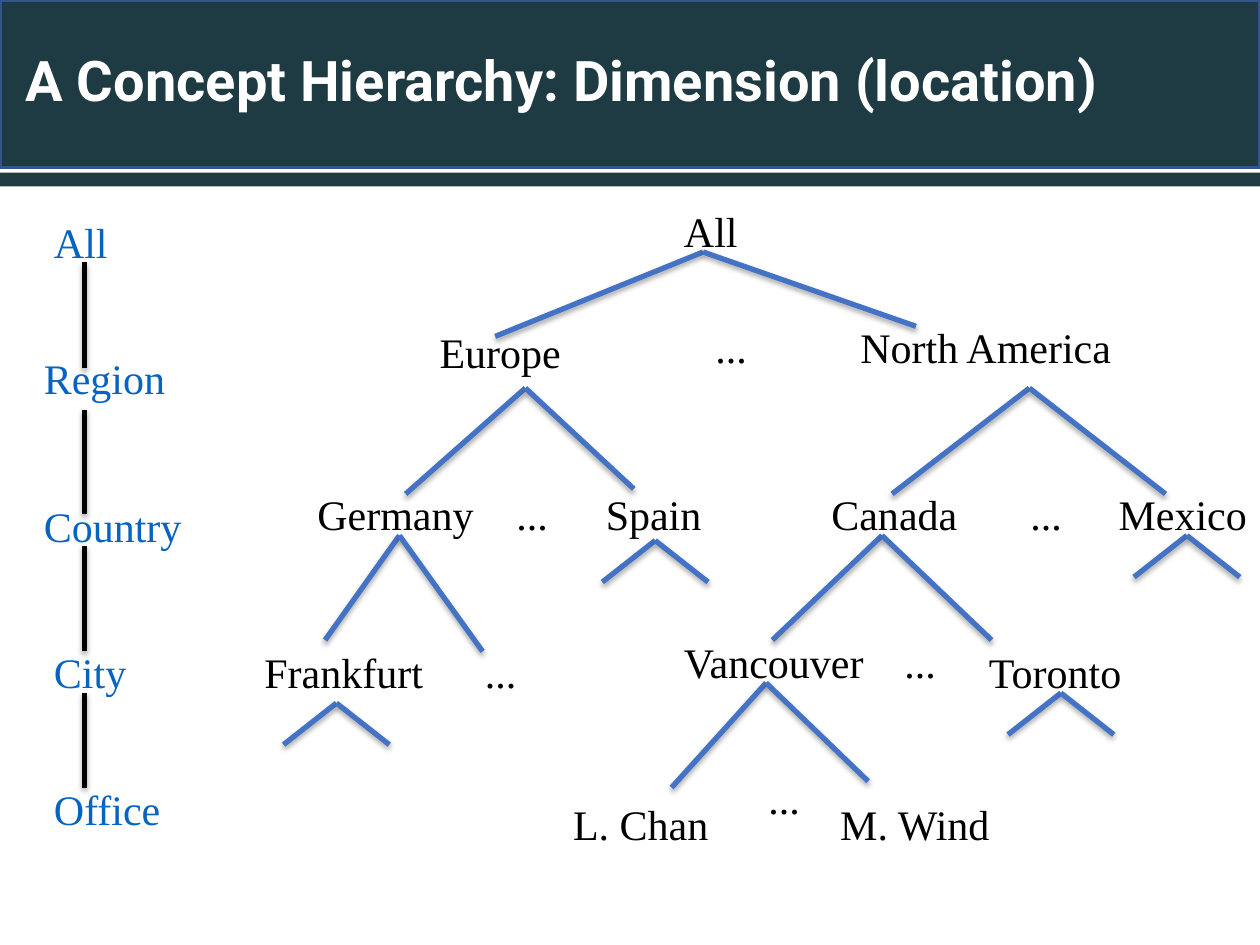
from collections import namedtuple
from dataclasses import dataclass

import pptx
import pptx.dml.color
import pptx.enum.shapes
import pptx.enum.text
import pptx.oxml
import pptx.oxml.ns
import pptx.util

Inches = pptx.util.Inches
Box = namedtuple("Box", "left top width height")


@dataclass(frozen=True)
class Theme:
    band: str = "1E3A42"
    band_edge: str = "325491"
    title: str = "FFFFFF"
    node: str = "000000"
    level: str = "0563C1"
    branch: str = "4472C4"
    spine: str = "000000"
    title_font: str = "Roboto"
    label_font: str = "Times New Roman"
    title_size: int = 32
    label_size: int = 24
    edge_width: int = 2
    line_width: int = 3


THEME = Theme()
LABEL_HEIGHT = 0.5

# Tree labels: text, left, top, width, relative to the tree box
NODES = [
    ("All", 3.33, 0.08, 0.63),
    ("Europe", 1.39, 1.04, 1.17),
    ("...", 3.58, 1.0, 0.45),
    ("North America", 4.73, 1.0, 2.23),
    ("Germany", 0.42, 2.33, 1.45),
    ("...", 2.0, 2.33, 0.45),
    ("Spain", 2.71, 2.33, 0.97),
    ("Canada", 4.5, 2.33, 1.21),
    ("...", 6.08, 2.33, 0.45),
    ("Mexico", 6.78, 2.33, 1.23),
    ("Frankfurt", 0, 3.58, 1.47),
    ("...", 1.75, 3.58, 0.45),
    ("Vancouver", 3.33, 3.5, 1.68),
    ("...", 5.08, 3.5, 0.45),
    ("Toronto", 5.75, 3.58, 1.29),
    ("L. Chan", 2.45, 4.79, 1.29),
    ("...", 4.0, 4.58, 0.45),
    ("M. Wind", 4.57, 4.79, 1.42),
]

# Branches: parent point, left child point, right child point
FORKS = [
    ((3.58, 0.5), (1.93, 1.17), (5.27, 1.09)),  # All
    ((2.17, 1.58), (1.22, 2.42), (3.03, 2.38)),  # Europe
    ((6.17, 1.58), (5.08, 2.42), (7.25, 2.42)),  # North America
    ((1.17, 2.75), (0.58, 3.58), (1.83, 3.67)),  # Germany
    ((5.0, 2.75), (4.13, 3.58), (5.87, 3.58)),  # Canada
    ((4.08, 3.92), (3.33, 4.75), (4.89, 4.7)),  # Vancouver
]

# Parents whose children are only hinted at: Spain, Mexico, Frankfurt, Toronto
STUBS = [(3.2, 2.79), (7.42, 2.75), (0.67, 4.08), (6.42, 4.0)]
STUB_REACH, STUB_DROP = 0.42, 0.33

# Level names and the spine between them, relative to the level box
LEVELS = [
    ("All", 0.08, 0.17, 0.63),
    ("Region", 0, 1.25, 1.17),
    ("Country", 0, 2.42, 1.3),
    ("City", 0.08, 3.58, 0.78),
    ("Office", 0.08, 4.67, 1.06),
]
SPINE_LEFT = 0.42
SPINE = [(0.58, 1.42), (1.75, 2.58), (2.83, 3.67), (4.0, 4.75)]


def rgb(value):
    return pptx.dml.color.RGBColor.from_string(value)


def style_run(run, font, size, color, bold=False):
    run.font.name = font
    run.font.size = pptx.util.Pt(size)
    run.font.color.rgb = rgb(color)
    run.font.bold = bold


def add_label(slide, box, label, color):
    text, left, top, width = label
    name = slide.shapes.add_textbox(
        Inches(box.left + left), Inches(box.top + top), Inches(width), Inches(LABEL_HEIGHT))
    name.text_frame.word_wrap = False
    name.text_frame.auto_size = pptx.enum.text.MSO_AUTO_SIZE.SHAPE_TO_FIT_TEXT
    name.text_frame.text = text
    style_run(name.text_frame.paragraphs[0].runs[0], THEME.label_font, THEME.label_size, color)


def add_line(slide, box, start, end, color):
    points = [Inches(origin + offset)
              for point in (start, end)
              for origin, offset in zip((box.left, box.top), point)]
    line = slide.shapes.add_connector(pptx.enum.shapes.MSO_CONNECTOR.STRAIGHT, *points)
    line.line.color.rgb = rgb(color)
    line.line.width = pptx.util.Pt(THEME.line_width)
    # Soft shadow straight below the line
    line.element.spPr.append(pptx.oxml.parse_xml(
        f'<a:effectLst {pptx.oxml.ns.nsdecls("a")}>'
        '<a:outerShdw blurRad="40000" dist="23000" dir="5400000" rotWithShape="0">'
        '<a:srgbClr val="000000"><a:alpha val="35000"/></a:srgbClr>'
        '</a:outerShdw></a:effectLst>'))


def add_band(slide, box):
    band = slide.shapes.add_shape(
        pptx.enum.shapes.MSO_SHAPE.RECTANGLE, *(Inches(length) for length in box))
    band.shadow.inherit = False
    band.fill.solid()
    band.fill.fore_color.rgb = rgb(THEME.band)
    band.line.fill.background()
    return band


def build_header(slide, box):
    heading = slide.shapes.title
    banner = add_band(slide, box)
    banner.line.color.rgb = rgb(THEME.band_edge)
    banner.line.width = pptx.util.Pt(THEME.edge_width)
    rule = add_band(slide, Box(box.left, box.top + box.height + 0.04, box.width, 0.11))
    # Keep the bands behind the title
    for band in (banner, rule):
        heading.element.addprevious(band.element)

    heading.left, heading.top = Inches(box.left + 0.1), Inches(box.top)
    heading.width, heading.height = Inches(box.width - 0.1), Inches(box.height)
    frame = heading.text_frame
    frame.text = "A Concept Hierarchy: Dimension (location)"
    frame.word_wrap = True
    frame.auto_size = pptx.enum.text.MSO_AUTO_SIZE.NONE
    frame.vertical_anchor = pptx.enum.text.MSO_ANCHOR.MIDDLE
    frame.margin_left = frame.margin_right = Inches(0.1)
    frame.margin_top = frame.margin_bottom = Inches(0.05)
    paragraph = frame.paragraphs[0]
    paragraph.alignment = pptx.enum.text.PP_ALIGN.LEFT
    paragraph.line_spacing = 0.9
    paragraph.space_before = pptx.util.Pt(0)
    style_run(paragraph.runs[0], THEME.title_font, THEME.title_size, THEME.title, bold=True)


def build_levels(slide, box):
    for level in LEVELS:
        add_label(slide, box, level, THEME.level)
    for top, bottom in SPINE:
        add_line(slide, box, (SPINE_LEFT, top), (SPINE_LEFT, bottom), THEME.spine)


def build_tree(slide, box):
    for node in NODES:
        add_label(slide, box, node, THEME.node)
    stubs = [((x, y), (x - STUB_REACH, y + STUB_DROP), (x + STUB_REACH, y + STUB_DROP))
             for x, y in STUBS]
    for parent, *children in FORKS + stubs:
        for child in children:
            add_line(slide, box, parent, child, THEME.branch)


def main():
    deck = pptx.Presentation()
    deck.slide_width, deck.slide_height = Inches(10), Inches(7.5)
    slide = deck.slides.add_slide(deck.slide_layouts.get_by_name("Title Only"))
    build_header(slide, Box(0, 0, 10, 1.33))
    build_levels(slide, Box(0.25, 1.5, 1.3, 5.3))
    build_tree(slide, Box(2, 1.5, 8, 5.3))
    deck.save("out.pptx")


if __name__ == "__main__":
    main()
